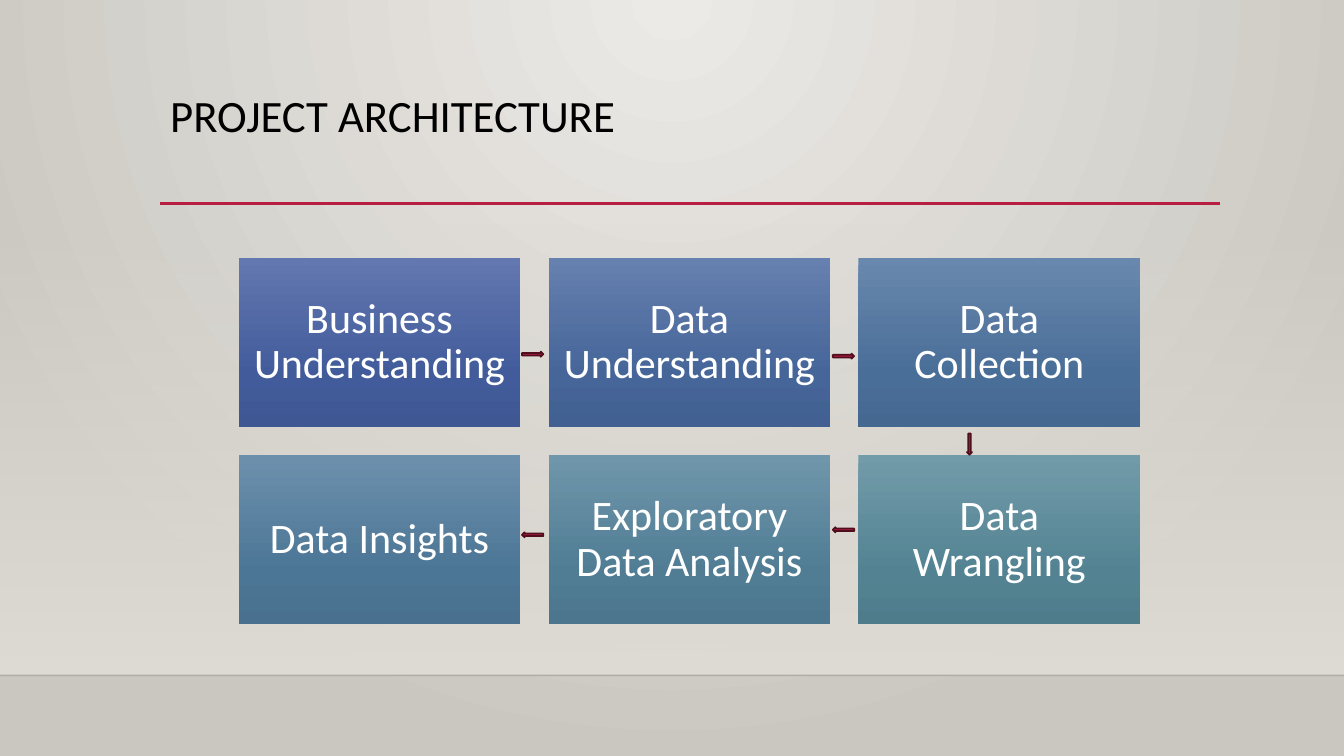
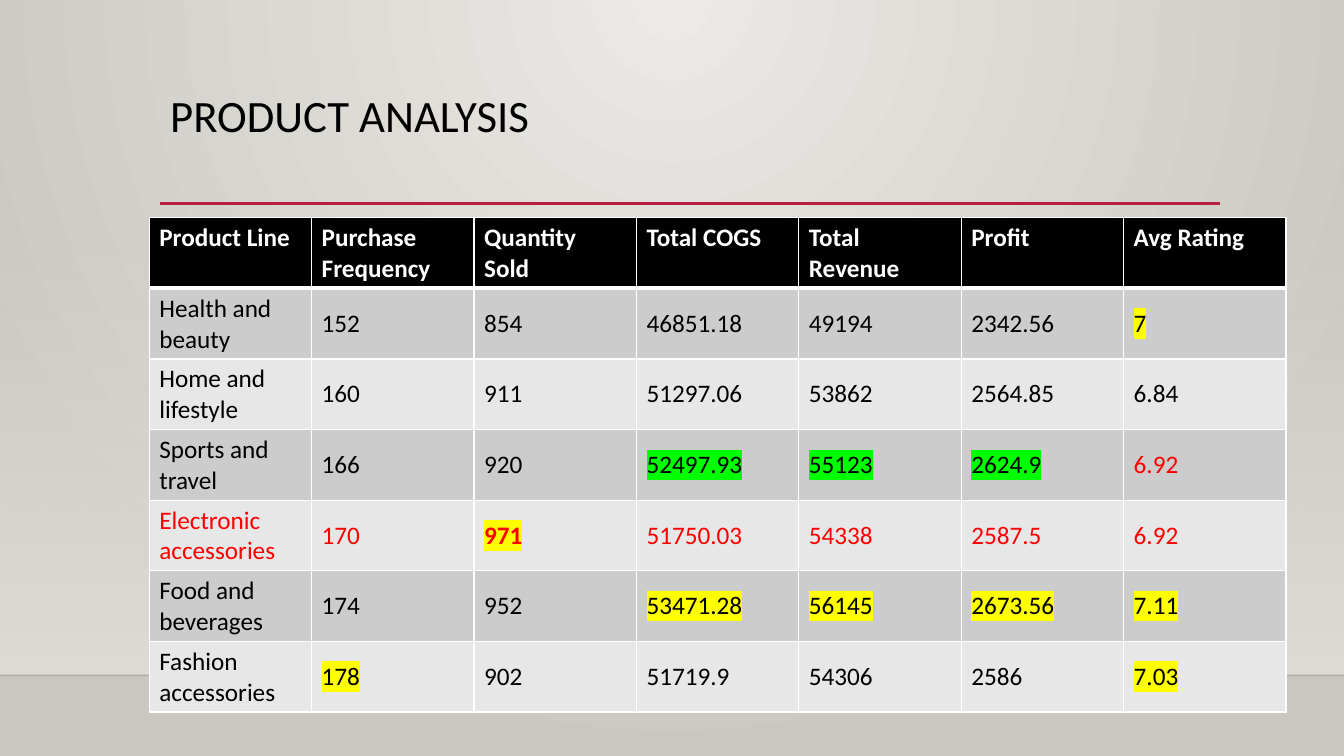
from itertools import product

from pptx import Presentation, oxml
from pptx import util as u
from pptx.dml import color
from pptx.enum import shapes, text
from pptx.oxml import ns

Pt = u.Pt
RGB = color.RGBColor.from_string

BLACK, WHITE = RGB("000000"), RGB("FFFFFF")
CRIMSON, MAROON = RGB("B71E42"), RGB("500D1D")
RED, YELLOW, GREEN = RGB("FF0000"), RGB("FFFF00"), RGB("00FF00")
SAND, FLOOR_LINE = RGB("DFDBD5"), RGB("000001")
BACKDROP = [(0, RGB("ECEAE7")), (100, RGB("CAC7C1"))]
BANDS = [RGB("E7E7E7"), RGB("CCCCCC")]

FONT = "Calibri"
SLIDE_WIDTH, SLIDE_HEIGHT = 960, 540
DOWNWARD = '<a:lin ang="5400000" scaled="0"/>'
FROM_TOP = ('<a:path path="circle">'
            '<a:fillToRect l="43000" t="0" r="43000" b="100000"/></a:path>')

TITLE_BOX = (114.5, 63.4, 756, 82.8)
RULE = (114.5, 145.5, 871.2, 145.5)
FLOOR = (0, 482.4, SLIDE_WIDTH, 482.4)
GLOW_BOX = (0, 159, SLIDE_WIDTH, 323.4)
STEPS_BOX = (170.5, 184.4, 643.9)
TABLE_BOX = (106.6, 155.5, 812, 352.8)

# Each step: its words and its top, middle and bottom colours.
STEPS = [
    ("Business Understanding", "6378B0", "425B9B", "3F5793"),
    ("Data Understanding", "6680AF", "466599", "426091"),
    ("Data Collection", "6988AD", "496E98", "456890"),
    ("Data Insights", "6C90AC", "4C7696", "49708E"),
    ("Exploratory Data Analysis", "6F96AB", "507D94", "4C768D"),
    ("Data Wrangling", "729BA9", "538393", "4F7C8B"),
]
# Centre in the steps box, and rotation.
ARROWS = [(210, 68.6, 0), (432, 70, 0), (522, 132.8, 90),
          (432, 194, 180), (210, 197.6, 180)]
ARROW_SIZE = (15.2, 3.6)

PRODUCTS = [
    ["Product Line", "Purchase Frequency", "Quantity Sold", "Total COGS",
     "Total Revenue", "Profit", "Avg Rating"],
    ["Health and beauty", "152", "854", "46851.18", "49194", "2342.56", "7"],
    ["Home and lifestyle", "160", "911", "51297.06", "53862", "2564.85", "6.84"],
    ["Sports and travel", "166", "920", "52497.93", "55123", "2624.9", "6.92"],
    ["Electronic accessories", "170", "971", "51750.03", "54338", "2587.5", "6.92"],
    ["Food and beverages", "174", "952", "53471.28", "56145", "2673.56", "7.11"],
    ["Fashion accessories", "178", "902", "51719.9", "54306", "2586", "7.03"],
]
YELLOW_CELLS = [(1, 6), (4, 2), (5, 3), (5, 4), (5, 5), (5, 6), (6, 1), (6, 6)]
GREEN_CELLS = [(3, 3), (3, 4), (3, 5)]
HIGHLIGHTS = {**dict.fromkeys(YELLOW_CELLS, YELLOW),
              **dict.fromkeys(GREEN_CELLS, GREEN)}
RED_CELLS = {(3, 6)} | {(4, column) for column in range(7)}
BOLD_CELLS = {(4, 2)} | {(0, column) for column in range(7)}


def points(*lengths):
    return [Pt(length) for length in lengths]


def set_values(target, values):
    for name, value in values.items():
        setattr(target, name, value)


def xml(markup):
    """Parse one drawing element, declaring its namespace."""
    tag_end = min(markup.index(mark) for mark in " >/" if mark in markup)
    return oxml.parse_xml(
        f"{markup[:tag_end]} {ns.nsdecls('a')}{markup[tag_end:]}")


def set_gradient(owner, fill, stops, direction, first_alpha=100):
    fill.solid()
    fill.fore_color.rgb = BLACK
    marks = ""
    for position, shade in stops:
        alpha = 100 if position else first_alpha
        marks += (f'<a:gs pos="{position * 1000}"><a:srgbClr val="{shade}">'
                  f'<a:alpha val="{alpha * 1000}"/></a:srgbClr></a:gs>')
    solid = owner.element.xpath(".//a:solidFill")[0]
    solid.getparent().replace(solid, xml(
        f'<a:gradFill rotWithShape="1"><a:gsLst>{marks}</a:gsLst>'
        f'{direction}</a:gradFill>'))


def write(frame, words, size, shade, bold=False,
          align=text.PP_ALIGN.LEFT, spacing=None):
    paragraph = frame.paragraphs[0]
    set_values(paragraph, {"alignment": align, "line_spacing": spacing})
    run = paragraph.add_run()
    run.text = words
    set_values(run.font, {"name": FONT, "size": Pt(size), "bold": bold})
    run.font.color.rgb = shade
    return run


def add_line(slide, ends, shade, width, alpha=100):
    line = slide.shapes.add_connector(
        shapes.MSO_CONNECTOR.STRAIGHT, *points(*ends))
    line.line.color.rgb = shade
    line.line.width = Pt(width)
    line.element.xpath(".//a:srgbClr")[0].append(
        xml(f'<a:alpha val="{alpha * 1000}"/>'))
    line.element.spPr.append(xml("<a:effectLst/>"))


def add_plain_shape(slide, kind, box):
    shape = slide.shapes.add_shape(kind, *points(*box))
    shape.shadow.inherit = False
    shape.line.fill.background()
    return shape


def add_titled_slide(presentation, title):
    slide = presentation.slides.add_slide(presentation.slide_layouts[6])
    glow = add_plain_shape(slide, shapes.MSO_SHAPE.RECTANGLE, GLOW_BOX)
    set_gradient(glow, glow.fill, [(0, SAND), (100, SAND)], DOWNWARD,
                 first_alpha=0)
    add_line(slide, FLOOR, FLOOR_LINE, 1, alpha=20)
    add_line(slide, RULE, CRIMSON, 2.5)
    frame = slide.shapes.add_textbox(*points(*TITLE_BOX)).text_frame
    frame.word_wrap = True
    write(frame, title, 32, BLACK, spacing=0.9)
    return slide


def add_step(slide, box, words, shades):
    tile = add_plain_shape(slide, shapes.MSO_SHAPE.RECTANGLE, box)
    set_gradient(tile, tile.fill, list(zip((0, 69, 100), shades)), DOWNWARD)
    frame = tile.text_frame
    set_values(frame, {"word_wrap": True,
                       "vertical_anchor": text.MSO_ANCHOR.MIDDLE})
    set_values(frame, {f"margin_{side}": Pt(9)
                       for side in ("left", "top", "right", "bottom")})
    write(frame, words, 30, WHITE, align=text.PP_ALIGN.CENTER, spacing=0.9)


def add_steps(slide, box):
    """Fill the box with three columns of steps, joined by small arrows."""
    left, top, width = box
    tile_width = width / 3.2
    tile_height, gap = tile_width * 0.6, tile_width * 0.1
    for index, (words, *shades) in enumerate(STEPS):
        row, column = divmod(index, 3)
        add_step(slide, (left + column * (tile_width + gap),
                         top + row * (tile_height + gap),
                         tile_width, tile_height), words, shades)
    length, thickness = ARROW_SIZE
    for x, y, rotation in ARROWS:
        arrow = add_plain_shape(
            slide, shapes.MSO_SHAPE.RIGHT_ARROW,
            (left + x - length / 2, top + y - thickness / 2, length, thickness))
        arrow.rotation = rotation
        arrow.fill.solid()
        arrow.fill.fore_color.rgb = CRIMSON
        arrow.line.color.rgb = MAROON
        arrow.line.width = Pt(1.25)


def set_borders(cell, widths):
    properties = cell._tc.get_or_add_tcPr()
    for index, (side, width) in enumerate(widths.items()):
        properties.insert(index, xml(
            f'<a:ln{side} w="{Pt(width)}"><a:solidFill>'
            f'<a:srgbClr val="{WHITE}"/></a:solidFill></a:ln{side}>'))


def add_product_table(slide, box):
    row_count, column_count = len(PRODUCTS), len(PRODUCTS[0])
    table = slide.shapes.add_table(row_count, column_count, *points(*box)).table
    table.horz_banding = False
    for row, column in product(range(row_count), range(column_count)):
        place, header = (row, column), row == 0
        cell = table.cell(row, column)
        cell.fill.solid()
        cell.fill.fore_color.rgb = BLACK if header else BANDS[row % 2]
        cell.vertical_anchor = (text.MSO_ANCHOR.TOP if header
                                else text.MSO_ANCHOR.MIDDLE)
        set_borders(cell, {"L": 1, "R": 1, "T": 3 if row == 1 else 1,
                           "B": 3 if header else 1})
        shade = WHITE if header else RED if place in RED_CELLS else BLACK
        run = write(cell.text_frame, PRODUCTS[row][column], 18, shade,
                    bold=place in BOLD_CELLS)
        if place in HIGHLIGHTS:
            run.font._element.xpath("./a:solidFill")[0].addnext(xml(
                f'<a:highlight><a:srgbClr val="{HIGHLIGHTS[place]}"/>'
                '</a:highlight>'))


def main():
    presentation = Presentation()
    set_values(presentation, {"slide_width": Pt(SLIDE_WIDTH),
                              "slide_height": Pt(SLIDE_HEIGHT)})
    master = presentation.slide_master
    set_gradient(master, master.background.fill, BACKDROP, FROM_TOP)
    add_steps(add_titled_slide(presentation, "PROJECT ARCHITECTURE"), STEPS_BOX)
    add_product_table(add_titled_slide(presentation, "PRODUCT ANALYSIS"),
                      TABLE_BOX)
    presentation.save("out.pptx")


if __name__ == "__main__":
    main()
